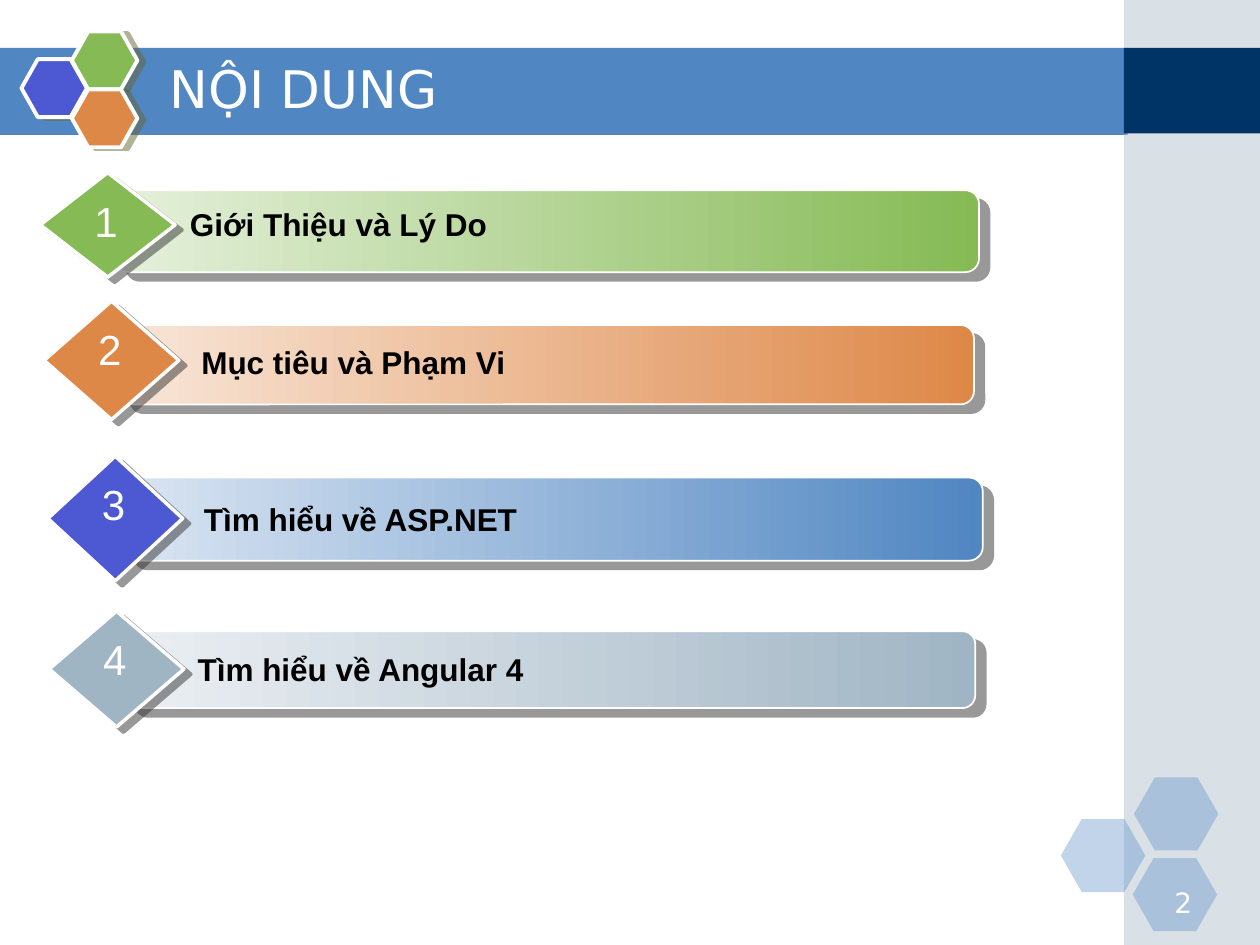
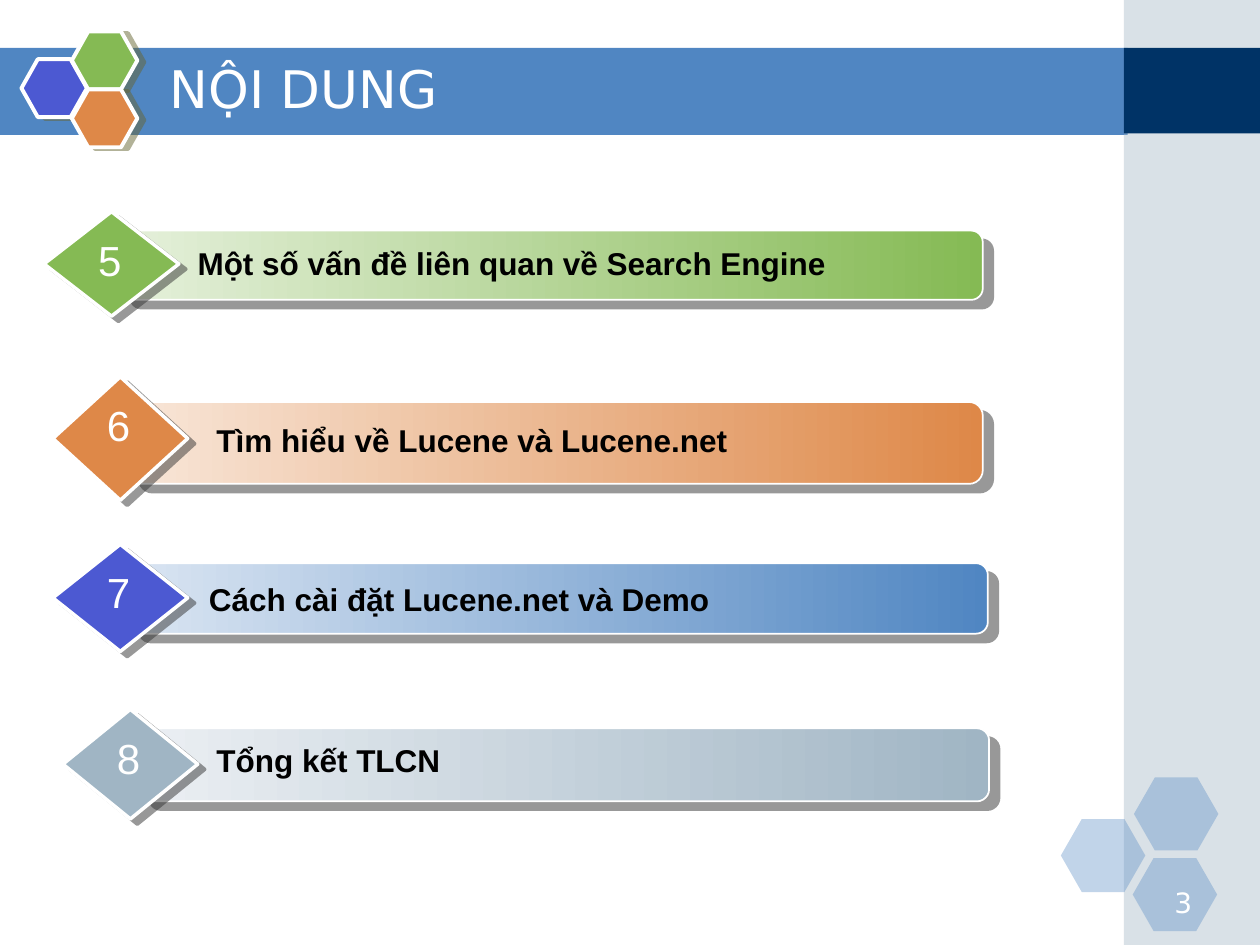
from lxml import etree
from pptx import Presentation
from pptx.dml.color import RGBColor
from pptx.enum import shapes, text
from pptx.oxml import ns
from pptx.util import Inches, Pt

WHITE = RGBColor(0xFF, 0xFF, 0xFF)
BLACK = RGBColor(0x00, 0x00, 0x00)
BLUE = RGBColor(0x50, 0x86, 0xC2)
NAVY = RGBColor(0x00, 0x33, 0x66)
INDIGO = RGBColor(0x4C, 0x59, 0xD2)
GREEN = RGBColor(0x85, 0xBA, 0x54)
ORANGE = RGBColor(0xDE, 0x88, 0x48)
GRAY = RGBColor(0xA0, 0xB5, 0xC4)
PALE_GREEN = RGBColor(0xE5, 0xF0, 0xDB)
PALE_ORANGE = RGBColor(0xF8, 0xE6, 0xD8)
PALE_BLUE = RGBColor(0xDA, 0xE5, 0xF2)
PALE_GRAY = RGBColor(0xEB, 0xEF, 0xF3)
OLIVE_SHADOW = RGBColor(0x66, 0x66, 0x33)
DARK_SHADOW = RGBColor(0x33, 0x33, 0x33)

TITLE_FONT = "DejaVu Sans"
BODY_FONT = "Arial"
TITLE = "NỘI DUNG"
FIRST_PAGE = 2

# diamond colour, bar colour, pale end of the bar
ROW_COLORS = [
    (GREEN, GREEN, PALE_GREEN),
    (ORANGE, ORANGE, PALE_ORANGE),
    (INDIGO, BLUE, PALE_BLUE),
    (GRAY, GRAY, PALE_GRAY),
]

# label, (label left, middle), diamond (left, top, height), bar (top, width, height)
AGENDA = [
    [
        ("Giới Thiệu và Lý Do", (1.41, 1.78), (0.32, 1.37, 0.83), (1.51, 6.85, 0.65)),
        ("Mục tiêu và Phạm Vi", (1.5, 2.87), (0.35, 2.39, 0.94), (2.58, 6.78, 0.63)),
        ("Tìm hiểu về ASP.NET", (1.52, 4.12), (0.38, 3.62, 0.99), (3.79, 6.82, 0.66)),
        ("Tìm hiểu về Angular 4", (1.47, 5.31), (0.39, 4.85, 0.92), (5.01, 6.75, 0.61)),
    ],
    [
        ("Một số vấn đề liên quan về Search Engine", (1.47, 2.09), (0.35, 1.68, 0.83), (1.83, 6.85, 0.55)),
        ("Tìm hiểu về Lucene và Lucene.net", (1.62, 3.49), (0.42, 2.99, 0.98), (3.19, 6.78, 0.65)),
        ("Cách cài đặt Lucene.net và Demo", (1.56, 4.75), (0.42, 4.32, 0.85), (4.47, 6.82, 0.56)),
        ("Tổng kết TLCN", (1.62, 6.03), (0.5, 5.63, 0.87), (5.78, 6.75, 0.58)),
    ],
]

DIAMOND_WIDTH = 1.07
BAR_INDENT = 0.6
LABEL_SIZE = (5.6, 0.4)
NUMBER_SIZE = (0.38, 0.5)
NUMBER_OFFSET = (0.33, 0.13)

CORNER_HEXAGONS = [(8.42, 6.5), (9, 6.17), (8.99, 6.81)]
EMBLEM_HEXAGONS = [(0.17, 0.47, INDIGO), (0.57, 0.25, GREEN), (0.57, 0.71, ORANGE)]


def add_figure(slide, kind, box, color, outline=None, adjust=None):
    shape = slide.shapes.add_shape(kind, *map(Inches, box))
    shape.shadow.inherit = False
    shape.fill.solid()
    shape.fill.fore_color.rgb = color
    if outline:
        shape.line.color.rgb = WHITE
        shape.line.width = Pt(outline)
    else:
        shape.line.fill.background()
    if adjust:
        shape.adjustments[0] = adjust
    return shape


def add_alpha(color_element, percent):
    etree.SubElement(color_element, ns.qn("a:alpha"), val=str(percent * 1000))


def set_opacity(shape, percent):
    add_alpha(shape.element.spPr.find(".//" + ns.qn("a:srgbClr")), percent)


def add_shadow(shape, color, distance, angle):
    effects = shape.element.spPr.find(ns.qn("a:effectLst"))
    shadow = etree.SubElement(
        effects, ns.qn("a:outerShdw"), dist=str(Pt(distance)),
        dir=str(angle * 60000), algn="ctr", rotWithShape="0")
    add_alpha(etree.SubElement(shadow, ns.qn("a:srgbClr"), val=str(color)), 50)


def add_text(slide, box, words, size, color, font=BODY_FONT, bold=False,
             align=text.PP_ALIGN.LEFT, anchor=text.MSO_ANCHOR.MIDDLE, wrap=True):
    frame = slide.shapes.add_textbox(*map(Inches, box)).text_frame
    frame.word_wrap = wrap
    frame.vertical_anchor = anchor
    paragraph = frame.paragraphs[0]
    paragraph.text = words
    paragraph.alignment = align
    paragraph.font.name = font
    paragraph.font.size = Pt(size)
    paragraph.font.bold = bold
    paragraph.font.color.rgb = color
    return paragraph


def add_frame(slide, page):
    kinds = shapes.MSO_SHAPE
    add_figure(slide, kinds.RECTANGLE, (0, 0.38, 8.95, 0.69), BLUE)
    side = add_figure(slide, kinds.RECTANGLE, (8.92, 0, 1.08, 7.5), GRAY)
    set_opacity(side, 40)
    add_figure(slide, kinds.RECTANGLE, (8.92, 0.38, 1.08, 0.68), NAVY)
    for left, top in CORNER_HEXAGONS:
        hexagon = add_figure(slide, kinds.HEXAGON, (left, top, 0.67, 0.58), BLUE, adjust=0.286)
        set_opacity(hexagon, 35)
    for left, top, color in EMBLEM_HEXAGONS:
        hexagon = add_figure(slide, kinds.HEXAGON, (left, top, 0.52, 0.46), color, 2.25, 0.282)
        add_shadow(hexagon, OLIVE_SHADOW, 4.1, 14)
    title = add_text(slide, (1.25, 0.42, 7.33, 0.62), TITLE, 29.6, WHITE, TITLE_FONT)
    title.line_spacing = 0.9
    add_text(slide, (9.06, 6.98, 0.5, 0.52), str(page), 16, WHITE, TITLE_FONT,
             align=text.PP_ALIGN.RIGHT, anchor=text.MSO_ANCHOR.TOP)


def add_row(slide, number, row, colors):
    label, (label_left, label_middle), (left, top, height), (bar_top, bar_width, bar_height) = row
    diamond_color, bar_color, pale_color = colors

    bar = add_figure(slide, shapes.MSO_SHAPE.ROUNDED_RECTANGLE,
                     (left + BAR_INDENT, bar_top, bar_width, bar_height), bar_color, 1, 0.167)
    bar.fill.gradient()
    bar.fill.gradient_angle = 180
    for stop, position, color in zip(bar.fill.gradient_stops, (0, 1), (bar_color, pale_color)):
        stop.position = position
        stop.color.rgb = color
    add_shadow(bar, DARK_SHADOW, 7.8, 40)

    diamond = add_figure(slide, shapes.MSO_SHAPE.DIAMOND,
                         (left, top, DIAMOND_WIDTH, height), diamond_color, 2)
    add_shadow(diamond, DARK_SHADOW, 5, 37)

    label_top = label_middle - LABEL_SIZE[1] / 2
    add_text(slide, (label_left, label_top, *LABEL_SIZE), label, 18, BLACK, bold=True)
    number_left, number_top = left + NUMBER_OFFSET[0], top + NUMBER_OFFSET[1]
    add_text(slide, (number_left, number_top, *NUMBER_SIZE), str(number), 24, WHITE,
             align=text.PP_ALIGN.CENTER, wrap=False)


def main():
    presentation = Presentation()
    presentation.slide_width = Inches(10)
    presentation.slide_height = Inches(7.5)
    number = 1
    for page, rows in enumerate(AGENDA, FIRST_PAGE):
        slide = presentation.slides.add_slide(presentation.slide_layouts[6])
        add_frame(slide, page)
        for row, colors in zip(rows, ROW_COLORS):
            add_row(slide, number, row, colors)
            number += 1
    presentation.save("out.pptx")


if __name__ == "__main__":
    main()
